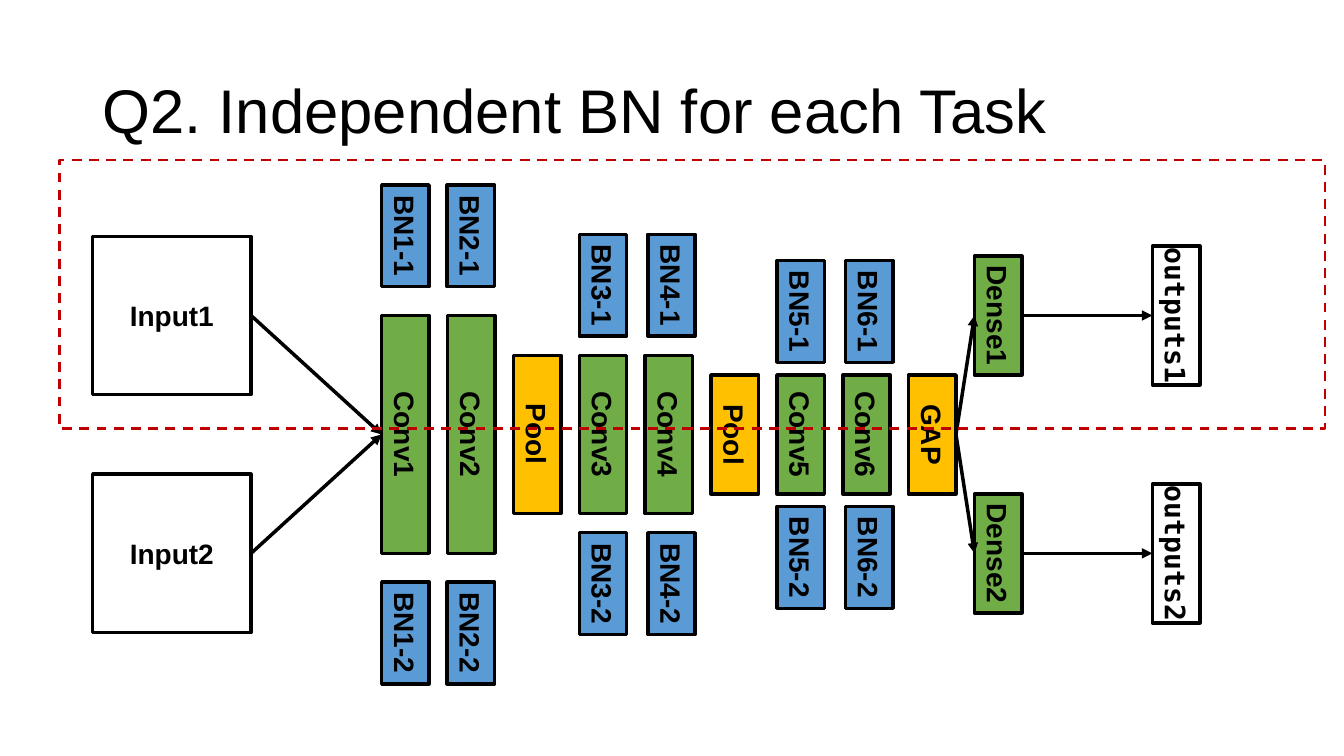
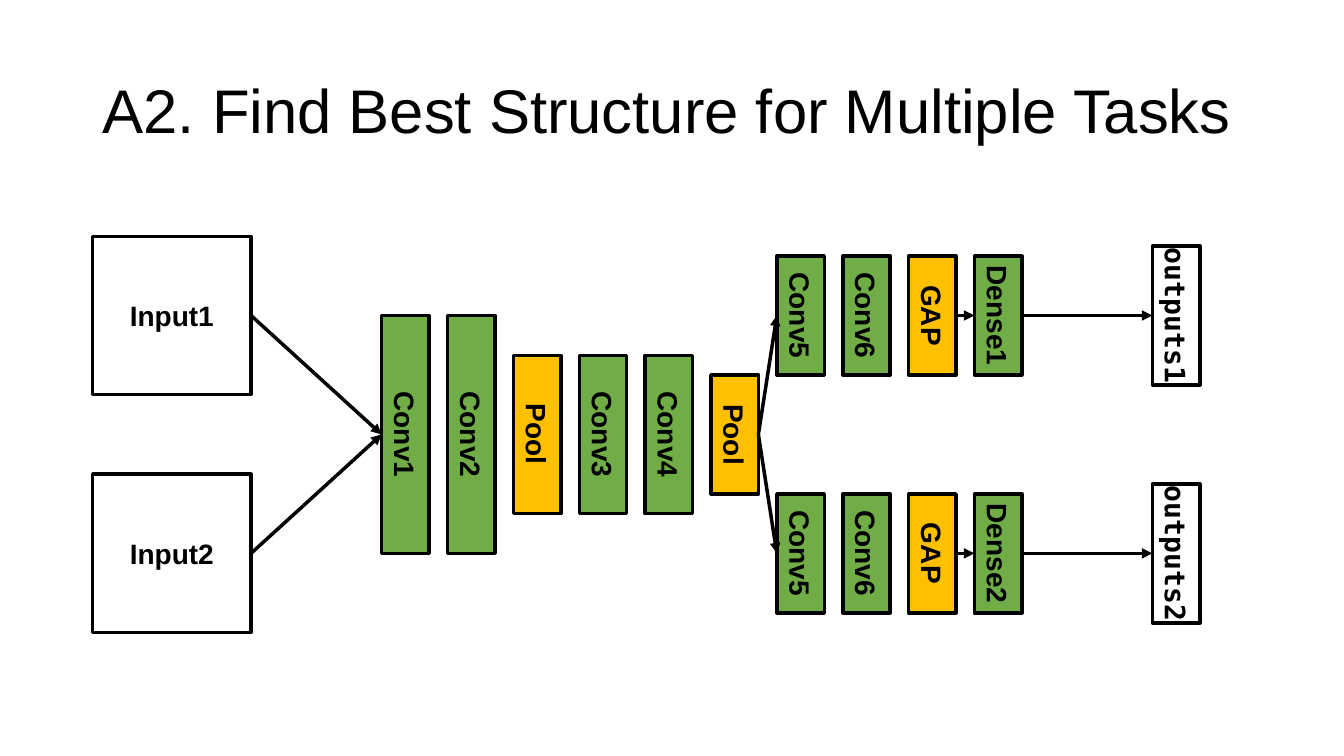
import pptx
import pptx.util
import pptx.dml.color
import pptx.enum.dml
import pptx.enum.shapes
import pptx.enum.text
import pptx.oxml
import pptx.oxml.ns
import lxml.etree
from typing import NamedTuple

Inches = pptx.util.Inches
Pt = pptx.util.Pt

BLACK, GREEN, GOLD, BLUE, RED = "000000", "70AD47", "FFC000", "5B9BD5", "C00000"
SANS, MONO = "Arial", "DejaVu Sans Mono"
THICK = 0.47
FIRST, LAST, COUNT = 3.1, 8.98, 10
BRANCH = 1.18


class Box(NamedTuple):
    left: float
    top: float
    width: float
    height: float

    def mid(self):
        return self.top + self.height / 2

    def right(self):
        return self.left + self.width


TITLE = Box(0.92, 0.4, 11.5, 1.45)
GRAPH = Box(0.92, 2.34, 10.98, 3.94)
FRAME = Box(0.59, 1.59, 12.55, 2.66)


def paint(form, color):
    form.solid()
    form.fore_color.rgb = pptx.dml.color.RGBColor.from_string(color)


def write(frame, text, size, font=SANS, bold=False):
    frame.word_wrap = True
    frame.vertical_anchor = pptx.enum.text.MSO_ANCHOR.MIDDLE
    para = frame.paragraphs[0]
    run = para.add_run()
    run.text = text
    run.font.size = Pt(size)
    run.font.name = font
    run.font.bold = bold
    paint(run.font.fill, BLACK)
    return para


def block(slide, box, fill=None, line=BLACK, weight=2.5):
    shape = slide.shapes.add_shape(
        pptx.enum.shapes.MSO_SHAPE.RECTANGLE, *map(Inches, box))
    shape.shadow.inherit = False
    if fill:
        paint(shape.fill, fill)
    else:
        shape.fill.background()
    paint(shape.line.fill, line)
    shape.line.width = Pt(weight)
    return shape


def label(shape, text, font=SANS, tight=False):
    frame = shape.text_frame
    if tight:
        frame.margin_left = frame.margin_right = 0
        frame.margin_top = frame.margin_bottom = 0
    para = write(frame, text, 20, font, True)
    para.alignment = pptx.enum.text.PP_ALIGN.CENTER


def bar(slide, x, y, length, text, fill=None, font=SANS, tight=False):
    box = Box(x - length / 2, y - THICK / 2, length, THICK)
    shape = block(slide, box, fill)
    shape.rotation = 90
    label(shape, text, font, tight)


def arrow(slide, start, end):
    link = slide.shapes.add_connector(
        pptx.enum.shapes.MSO_CONNECTOR.STRAIGHT, *map(Inches, start + end))
    paint(link.line.fill, BLACK)
    link.line.width = Pt(2.5)
    tag = pptx.oxml.ns.qn
    lxml.etree.SubElement(link.line._get_or_add_ln(), tag("a:tailEnd"), type="triangle")
    lxml.etree.SubElement(link._element.spPr, tag("a:effectLst"))


def column(box, index):
    return box.left + FIRST + index * (LAST - FIRST) / (COUNT - 1)


def edges(x):
    return x - THICK / 2, x + THICK / 2


def rows(box):
    return box.mid() - BRANCH, box.mid() + BRANCH


def title(slide, box, text):
    area = slide.shapes.add_textbox(*map(Inches, box))
    write(area.text_frame, text, 44).line_spacing = 0.9


def inputs(slide, box):
    side = 1.57
    goal = edges(column(box, 0))[0], box.mid()
    for num, y in enumerate(rows(box), 1):
        shape = block(slide, Box(box.left, y - side / 2, side, side))
        label(shape, f"Input{num}")
        arrow(slide, (box.left + side, y), goal)


def layers(slide, box, items, first, y):
    for index, (text, length, fill) in enumerate(items, first):
        bar(slide, column(box, index), y, length, text, fill)


def fork(slide, box, index):
    start = edges(column(box, index))[1], box.mid()
    for y in rows(box):
        arrow(slide, start, (edges(column(box, index + 1))[0], y))


def outputs(slide, box):
    dense, out = column(box, COUNT - 1), box.right() - THICK / 2
    for num, y in enumerate(rows(box), 1):
        bar(slide, dense, y, 1.18, f"Dense{num}", GREEN, tight=True)
        bar(slide, out, y, 1.38, f"outputs{num}", font=MONO, tight=True)
        arrow(slide, (edges(dense)[1], y), (edges(out)[0], y))


def norms(slide, box):
    for num, index, gap, rise in ((1, 0, 0.65, 1.97), (3, 3, 0.68, 1.48), (5, 6, 0.68, 1.22)):
        for step in range(2):
            for task, way in ((1, -1), (2, 1)):
                bar(slide, column(box, index) + step * gap, box.mid() + way * rise,
                    1.01, f"BN{num + step}-{task}", BLUE)


TRUNK = [("Conv1", 2.36, GREEN), ("Conv2", 2.36, GREEN), ("Pool", 1.57, GOLD),
         ("Conv3", 1.57, GREEN), ("Conv4", 1.57, GREEN), ("Pool", 1.18, GOLD)]
TAIL = [("Conv5", 1.18, GREEN), ("Conv6", 1.18, GREEN), ("GAP", 1.18, GOLD)]


def base(deck, text):
    slide = deck.slides.add_slide(deck.slide_layouts[6])
    title(slide, TITLE, text)
    inputs(slide, GRAPH)
    layers(slide, GRAPH, TRUNK, 0, GRAPH.mid())
    outputs(slide, GRAPH)
    return slide


def shared(deck):
    slide = base(deck, "Q2. Independent BN for each Task")
    layers(slide, GRAPH, TAIL, len(TRUNK), GRAPH.mid())
    fork(slide, GRAPH, COUNT - 2)
    frame = block(slide, FRAME, line=RED, weight=1.75)
    frame.line.dash_style = pptx.enum.dml.MSO_LINE.DASH
    norms(slide, GRAPH)


def split(deck):
    slide = base(deck, "A2. Find Best Structure for Multiple Tasks")
    start = edges(column(GRAPH, COUNT - 2))[1]
    end = edges(column(GRAPH, COUNT - 1))[0]
    for y in rows(GRAPH):
        layers(slide, GRAPH, TAIL, len(TRUNK), y)
        arrow(slide, (start, y), (end, y))
    fork(slide, GRAPH, len(TRUNK) - 1)


def main():
    deck = pptx.Presentation()
    deck.slide_width, deck.slide_height = Inches(13.33), Inches(7.5)
    shared(deck)
    split(deck)
    deck.save("out.pptx")


if __name__ == "__main__":
    main()
